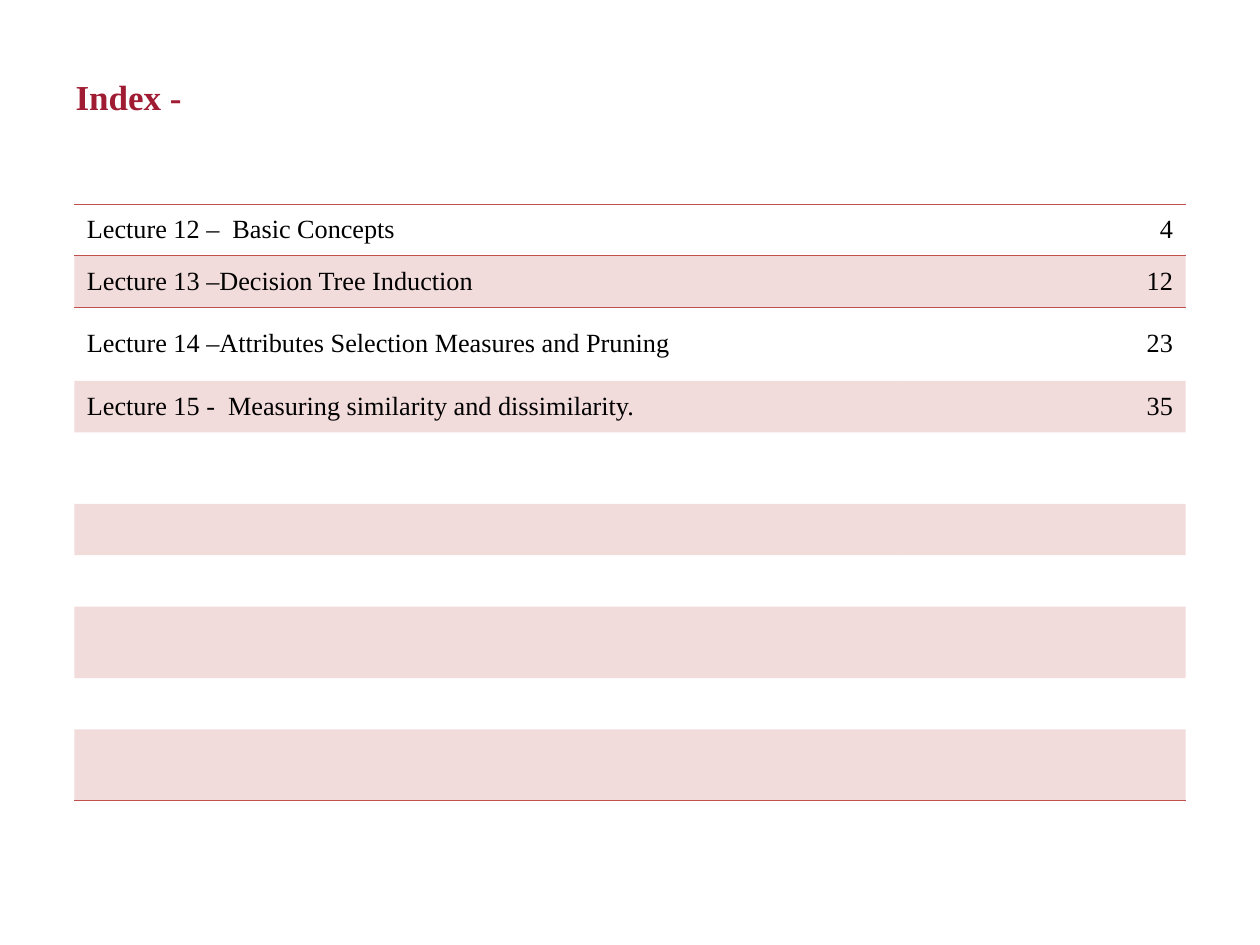
from lxml.etree import SubElement
from pptx import Presentation
from pptx.dml.color import RGBColor
from pptx.enum.text import MSO_ANCHOR as Anchor, PP_ALIGN as Align
from pptx.oxml.ns import qn
from pptx.util import Pt

FONT = "Times New Roman"
TITLE_COLOR, TEXT_COLOR, ACCENT = "9F1C33", "000000", "C0504D"
NO_STYLE = "{2D5ABB26-0587-4C30-8999-92F81FD0307C}"

LECTURES = [
    ("Lecture 12 –  Basic Concepts", "4"),
    ("Lecture 13 –Decision Tree Induction", "12"),
    ("Lecture 14 –Attributes Selection Measures and Pruning", "23"),
    ("Lecture 15 -  Measuring similarity and dissimilarity.", "35"),
]
LOW, MEDIUM, HIGH = 29.4, 40.8, 42.2
ROW_HEIGHTS = [LOW, LOW, HIGH, LOW, MEDIUM, LOW, LOW, MEDIUM, LOW, MEDIUM]
NAME_SHARE = 0.7415  # part of the table width taken by the lecture names


def color(value):
    return RGBColor.from_string(value)


def write(frame, text, size=15, bold=False, fill=TEXT_COLOR, align=Align.LEFT):
    paragraph = frame.paragraphs[0]
    paragraph.alignment = align
    run = paragraph.add_run()
    run.text = text
    run.font.name, run.font.size, run.font.bold = FONT, Pt(size), bold
    run.font.color.rgb = color(fill)


def add_rule(cell, side, width=0.45):
    line = SubElement(cell._tc.get_or_add_tcPr(), qn(f"a:ln{side}"), w=str(Pt(width)))
    SubElement(SubElement(line, qn("a:solidFill")), qn("a:srgbClr"), val=ACCENT)


def tint(cell, opacity=20):
    cell.fill.solid()
    cell.fill.fore_color.rgb = color(ACCENT)
    solid = cell._tc.tcPr.find(qn("a:solidFill"))
    SubElement(solid[0], qn("a:alpha"), val=str(opacity * 1000))


def place_title(slide, left, top, width, height):
    title = slide.shapes.title
    title.left, title.top, title.width, title.height = map(Pt, (left, top, width, height))
    title.text_frame.vertical_anchor = Anchor.MIDDLE
    write(title.text_frame, "Index -", size=20, bold=True, fill=TITLE_COLOR)


def add_index_table(slide, left, top, width):
    frame = slide.shapes.add_table(len(ROW_HEIGHTS), 2, Pt(left), Pt(top),
                                   Pt(width), Pt(sum(ROW_HEIGHTS)))
    table = frame.table
    table.first_row = table.horz_banding = False
    table._tbl.tblPr.find(qn("a:tableStyleId")).text = NO_STYLE
    table.columns[0].width = Pt(width * NAME_SHARE)
    table.columns[1].width = Pt(width * (1 - NAME_SHARE))

    last = len(ROW_HEIGHTS) - 1
    for index, height in enumerate(ROW_HEIGHTS):
        table.rows[index].height = Pt(height)
        for column, align in enumerate((Align.LEFT, Align.RIGHT)):
            cell = table.cell(index, column)
            cell.vertical_anchor = Anchor.MIDDLE
            # Rules frame the first row and close the table
            if index in (0, 1):
                add_rule(cell, "T")
            if index in (0, last):
                add_rule(cell, "B")
            # Every second row is tinted
            if index % 2:
                tint(cell)
            else:
                cell.fill.background()
            if index < len(LECTURES):
                write(cell.text_frame, LECTURES[index][column], align=align)


def main():
    presentation = Presentation()
    presentation.slide_width, presentation.slide_height = Pt(720), Pt(540)
    slide = presentation.slides.add_slide(presentation.slide_layouts[5])
    place_title(slide, 36, 21.6, 648, 67)
    add_index_table(slide, 42.5, 116.7, 635)
    presentation.save("out.pptx")


if __name__ == "__main__":
    main()
